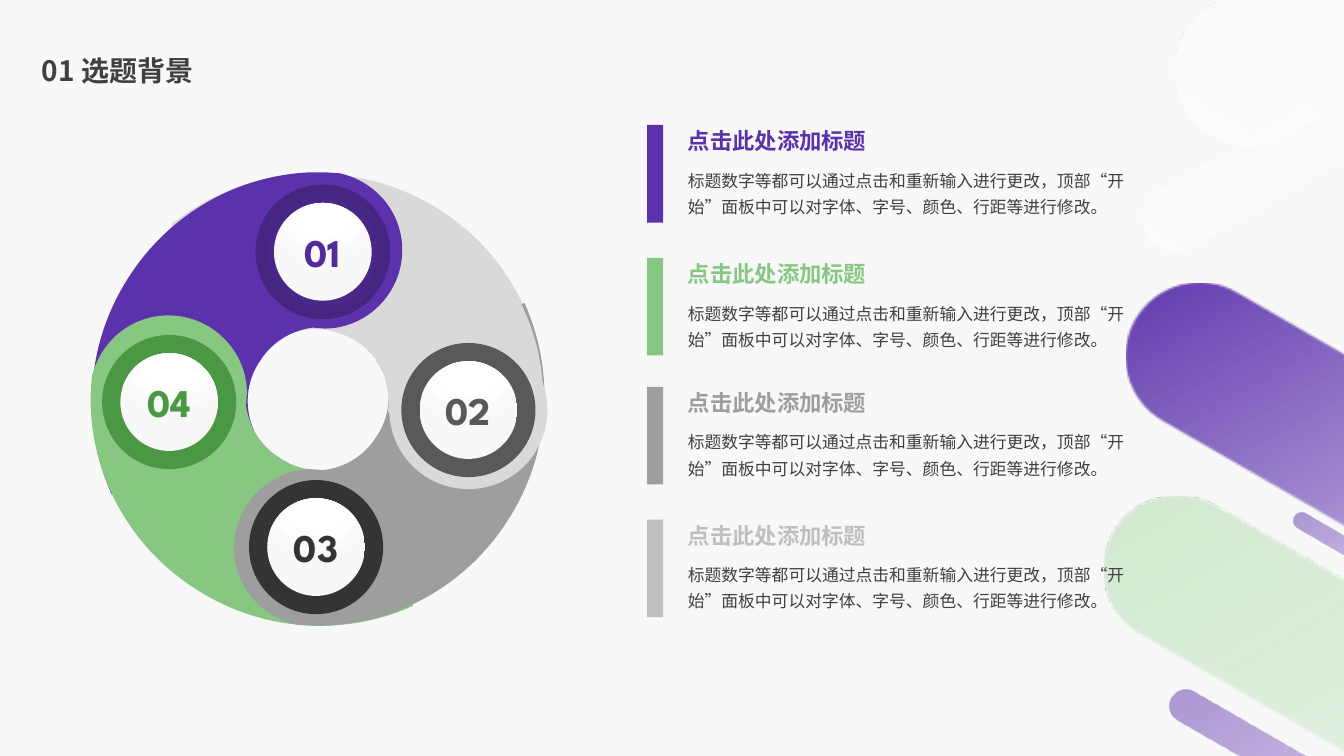
from lxml import etree
from pptx import Presentation
from pptx.dml.color import RGBColor
from pptx.enum.shapes import MSO_SHAPE
from pptx.enum.text import MSO_ANCHOR, PP_ALIGN
from pptx.oxml.ns import qn
from pptx.util import Pt

OVAL, RECT, ARC = MSO_SHAPE.OVAL, MSO_SHAPE.RECTANGLE, MSO_SHAPE.BLOCK_ARC
MIDDLE, CENTER = MSO_ANCHOR.MIDDLE, PP_ALIGN.CENTER

C = {
    "bg": "F8F8F8", "white": "FFFFFF", "text": "404040",
    "purple": "5B32AB", "violet": "5F34B2", "green": "87C782", "pale green": "D0E9CE",
    "gray": "9E9E9E", "silver": "BFBFBF", "light": "D9D9D9",
    "purple ring": "512C98", "purple mid": "442580", "purple edge": "402378",
    "green ring": "4A9744", "black ring": "343434", "gray ring": "595959",
}
LATIN, CJK = "League Spartan", "Noto Sans CJK SC"

PAGE_TITLE = "01 选题背景"
ITEM_TITLE = "点击此处添加标题"
ITEM_BODY = ("标题数字等都可以通过点击和重新输入进行更改，顶部“开始”面板中"
             "可以对字体、字号、颜色、行距等进行修改。")
ITEMS = [(89.3, "purple"), (184.2, "green"), (276.3, "gray"), (371.1, "silver")]  # bar top, colour

# Gradient stops: position %, colour, opacity %
FADE_END = [(85, "white", 50), (100, "white", 50)]
PURPLE_FADE = [(0, "purple", 100), (23, "violet", 40)] + FADE_END
SOFT_FADE = [(0, "purple", 50), (23, "violet", 40)] + FADE_END
GREEN_FADE = [(0, "pale green", 100), (22, "pale green", 50)] + FADE_END
WHITE_FADE = [(0, "white", 50), (21, "white", 29), (85, "white", 0), (100, "white", 0)]
BUTTON_GLOW = [(0, "white", 100), (35, "white", 100), (100, "bg", 100)]
RING_GLOW = [(0, "purple ring", 100), (23, "purple ring", 100),
             (69, "purple mid", 100), (97, "purple edge", 100)]

# Left, top, width, height before turning, turn in degrees, gradient
STREAKS = [
    (712.8, 545.8, 1479.6, 105.8, 210, PURPLE_FADE),
    (789.1, -190.8, 854.6, 108.7, 330, WHITE_FADE),
    (793.4, 49, 379.4, 48.2, 330, WHITE_FADE),
    (697, 698.4, 1479.6, 105.8, 210, GREEN_FADE),
    (913, 406.8, 175.7, 12.2, 210, SOFT_FADE),
    (814.3, 571, 337.7, 23.8, 210, SOFT_FADE),
]

# Pinwheel blade: two values are a line end, six are a cubic curve
BLADE_W, BLADE_H = 221.8, 230.4
BLADE = [
    (166.3, 0), (177.1, 0.7),
    (203.1, 6.5, 221.8, 28.8, 221.8, 55.5),
    (221.8, 86.4, 196.6, 111.6, 166.3, 111.6),
    (157.7, 110.9),
    (142.6, 113.1, 128.9, 121, 120.3, 134.7),
    (110.2, 149.1, 108.7, 168.5, 115.9, 184.3),
    (14.4, 230.4),
    (-8.6, 179.3, -3.6, 120.3, 27.4, 73.5),
    (56.2, 29.5, 103.7, 2.2, 156.3, 0),
]
# Number, ring centre x, y, ring colour, blade left, top, turn, colour
WHEEL = [
    ("01", 230.6, 179.9, "purple ring", 65.5, 123.1, 0, "purple"),
    ("04", 120.9, 287.2, "green ring", 69.1, 221, 270, "green"),
    ("03", 225.8, 390.8, "black ring", 167.2, 216.4, 180, "gray"),
]
RING, BUTTON, OUTER = 95.8, 69.8, 113

prs = Presentation()
prs.slide_width, prs.slide_height = Pt(960), Pt(540)
slide = prs.slides.add_slide(prs.slide_layouts[6])
slide.background.fill.solid()
slide.background.fill.fore_color.rgb = RGBColor.from_string(C["bg"])


def paint(s, color):
    s.shadow.inherit = False
    s.line.fill.background()
    s.fill.solid()
    s.fill.fore_color.rgb = RGBColor.from_string(C[color])
    return s


def paint_gradient(s, stops, angle=None, focus=None):
    """Linear at an angle in degrees, or circular around focus (l, t, r, b in %)."""
    paint(s, "white").fill.gradient()
    grad = s.fill._xPr.find(qn("a:gradFill"))
    for child in list(grad):
        grad.remove(child)
    gs_list = etree.SubElement(grad, qn("a:gsLst"))
    for pos, color, alpha in stops:
        gs = etree.SubElement(gs_list, qn("a:gs"), pos=str(pos * 1000))
        clr = etree.SubElement(gs, qn("a:srgbClr"), val=C[color])
        if alpha < 100:
            etree.SubElement(clr, qn("a:alpha"), val=str(alpha * 1000))
    if focus:
        circle = etree.SubElement(grad, qn("a:path"))
        circle.set("path", "circle")
        sides = {side: str(v * 1000) for side, v in zip("ltrb", focus)}
        etree.SubElement(circle, qn("a:fillToRect"), **sides)
    else:
        etree.SubElement(grad, qn("a:lin"), ang=str(angle * 60000), scaled="0")


def add_outline(left, top, w, h, turn, steps):
    """A freeform in the given frame; steps are lines and cubic curves inside it."""
    builder = slide.shapes.build_freeform(Pt(left), Pt(top), scale=1.0)
    builder.add_line_segments([(Pt(left + w), Pt(top + h))], close=True)
    s = builder.convert_to_shape()
    s.rotation = turn
    outline = next(s._element.iter(qn("a:path")))
    for child in list(outline):
        outline.remove(child)
    for i, step in enumerate(steps):
        tag = "a:moveTo" if i == 0 else "a:lnTo" if len(step) == 2 else "a:cubicBezTo"
        node = etree.SubElement(outline, qn(tag))
        for x, y in zip(step[::2], step[1::2]):
            etree.SubElement(node, qn("a:pt"), x=str(Pt(x)), y=str(Pt(y)))
    etree.SubElement(outline, qn("a:close"))
    return s


def add_disc(x, y, size, color):
    s = slide.shapes.add_shape(OVAL, Pt(x - size / 2), Pt(y - size / 2), Pt(size), Pt(size))
    return paint(s, color)


def write(tf, text, size, color, font, bold=False, spacing=None):
    tf.text = text
    p = tf.paragraphs[0]
    p.line_spacing = spacing
    f = p.runs[0].font
    f.size, f.bold, f.name = Pt(size), bold, font
    f.color.rgb = RGBColor.from_string(C[color])
    etree.SubElement(f._element, qn("a:ea"), typeface=CJK)
    return p


def add_text(x, y, w, h, *style, wrap=True, **options):
    tf = slide.shapes.add_textbox(Pt(x), Pt(y), Pt(w), Pt(h)).text_frame
    tf.word_wrap = wrap
    return tf, write(tf, *style, **options)


def add_streak(left, top, w, h, turn, stops):
    """A bar with a round cap at its left end, mirrored when it is turned over."""
    r = h / 2
    k = 0.45 * r
    steps = [(r, 0), (w, 0), (w, h), (r, h), (k, h, 0, h - k, 0, r), (0, k, k, 0, r, 0)]
    s = add_outline(left, top, w, h, turn, steps)
    if turn == 210:
        s._element.spPr.find(qn("a:xfrm")).set("flipH", "1")
    paint_gradient(s, stops, angle=330)


def add_blade(left, top, turn, color):
    paint(add_outline(left, top, BLADE_W, BLADE_H, turn, BLADE), color)


def add_number(number, x, y, color):
    ring = add_disc(x, y, RING, color)
    if color == "purple ring":
        paint_gradient(ring, RING_GLOW, focus=(50, 50, 50, 50))
    button = add_disc(x, y, BUTTON, "white")
    paint_gradient(button, BUTTON_GLOW, focus=(50, -80, 50, 180))
    tf = button.text_frame
    tf.margin_left = tf.margin_right = 0
    tf.vertical_anchor = MIDDLE
    write(tf, number, 28, color, LATIN, bold=True).alignment = CENTER


for streak in STREAKS:
    add_streak(*streak)

add_blade(147.6, 108.7, 75, "light")
tf, p = add_text(22.7, 31, 359.3, 41.8, PAGE_TITLE, 20, "text", CJK, bold=True, spacing=0.9)
tf.vertical_anchor = MIDDLE
p.space_before = Pt(10)

for number, x, y, ring_color, left, top, turn, color in WHEEL:
    add_blade(left, top, turn, color)
    add_number(number, x, y, ring_color)

for top, color in ITEMS:
    add_text(484.2, top + 24.6, 330.5, 45.4, ITEM_BODY, 12, "text", CJK, spacing=1.3)
    add_text(484.2, top - 7.5, 144, 32.4, ITEM_TITLE, 16, color, LATIN,
             wrap=False, bold=True, spacing=1.3)
    paint(slide.shapes.add_shape(RECT, Pt(462.2), Pt(top), Pt(11.5), Pt(69.8)), color)

rim = paint(slide.shapes.add_shape(ARC, Pt(72.7), Pt(128.2), Pt(315.4), Pt(315.4)), "light")
for i, value in enumerate((194.03, 6.13, 0.35)):
    rim.adjustments[i] = value
add_disc(334.6, 292.9, OUTER, "light")
add_number("02", 334.6, 292.9, "gray ring")

prs.save("out.pptx")
